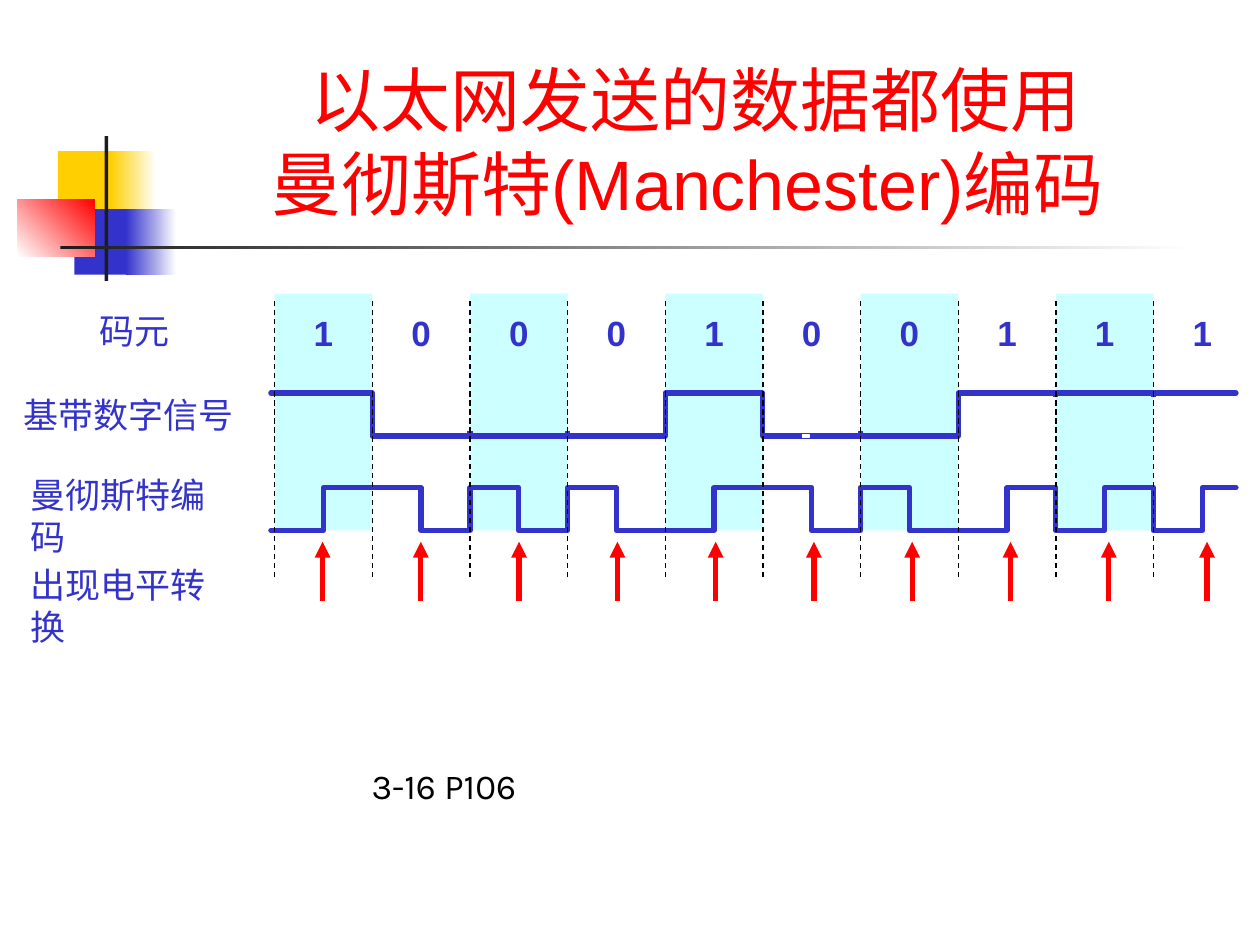
from itertools import pairwise

from lxml.etree import SubElement
from pptx import Presentation
from pptx.dml.color import RGBColor
from pptx.enum.dml import MSO_LINE
from pptx.enum.shapes import MSO_CONNECTOR, MSO_SHAPE
from pptx.enum.text import MSO_ANCHOR, PP_ALIGN
from pptx.oxml.ns import qn
from pptx.util import Inches, Pt

COLORS = {
    "blue": "3333CC", "red": "FF0000", "yellow": "FFCF01", "dark": "1C1C1C",
    "cyan": "CCFFFF", "white": "FFFFFF", "black": "000000",
}
BITS = "1000100111"
PITCH = 0.775
ARROW_PITCH = 0.78
OVERHANG = 0.03


def rgb(name):
    return RGBColor.from_string(COLORS[name])


def add_rect(slide, box, *fades, angle=0):
    rect = slide.shapes.add_shape(MSO_SHAPE.RECTANGLE, *map(Inches, box))
    rect.shadow.inherit = False
    rect.line.fill.background()
    if len(fades) == 1:
        rect.fill.solid()
        rect.fill.fore_color.rgb = rgb(fades[0])
    else:
        rect.fill.gradient()
        rect.fill.gradient_angle = angle
        for stop, position, name in zip(rect.fill.gradient_stops, (0, 1), fades):
            stop.position = position
            stop.color.rgb = rgb(name)
    return rect


def add_text(slide, box, text, color="blue", font="Arial", bold=False,
             align=PP_ALIGN.LEFT):
    frame = slide.shapes.add_textbox(*map(Inches, box)).text_frame
    frame.word_wrap = True
    paragraph = frame.paragraphs[0]
    paragraph.text = text
    paragraph.alignment = align
    style_font(paragraph.font, 20, color, font, bold)


def style_font(font, size, color, name, bold=False):
    font.size = Pt(size)
    font.name = name
    font.bold = bold
    font.color.rgb = rgb(color)


def add_line(shapes, start, end, color, width):
    line = shapes.add_connector(MSO_CONNECTOR.STRAIGHT, *map(Inches, (*start, *end)))
    SubElement(line._element.spPr, qn("a:effectLst"))
    line.line.color.rgb = rgb(color)
    line.line.width = Pt(width)
    return line


def add_wave(shapes, left, top, height, levels, step):
    points = []
    for i, level in enumerate(levels):
        start = left + i * step - (OVERHANG if i == 0 else 0)
        end = left + (i + 1) * step - (0.12 if i == len(levels) - 1 else 0)
        y = top if level else top + height
        points += [(Inches(start), Inches(y)), (Inches(end), Inches(y))]
    builder = shapes.build_freeform(*points[0])
    builder.add_line_segments(points[1:], close=False)
    wave = builder.convert_to_shape()
    wave.shadow.inherit = False
    wave.fill.background()
    wave.line.color.rgb = rgb("blue")
    wave.line.width = Pt(3)
    wave.line._ln.set("cap", "rnd")


def add_ornament(slide, left, top):
    squares = [
        ((0.32, 0.12, 0.48, 0.52), ("yellow",), 0),
        ((0.74, 0.12, 0.36, 0.52), ("yellow", "white"), 0),
        ((0.45, 0.58, 0.46, 0.52), ("blue",), 0),
        ((0.86, 0.58, 0.4, 0.52), ("blue", "white"), 0),
        ((0, 0.5, 0.61, 0.46), ("white", "red"), 45),
        ((0.69, 0, 0.03, 1.15), ("dark",), 0),
        ((0.34, 0.87, 9, 0.03), ("dark", "white"), 0),
    ]
    for (x, y, width, height), fades, angle in squares:
        add_rect(slide, (left + x, top + y, width, height), *fades, angle=angle)


def add_title(slide, box):
    title = slide.shapes.title
    title.left, title.top, title.width, title.height = map(Inches, box)
    title.text_frame.text = "以太网发送的数据都使用\v曼彻斯特(Manchester)编码 "
    title.text_frame.vertical_anchor = MSO_ANCHOR.BOTTOM
    paragraph = title.text_frame.paragraphs[0]
    paragraph.alignment = PP_ALIGN.CENTER
    style_font(paragraph.font, 40, "red", "Arial")


def add_row_labels(slide, left, top):
    labels = [
        (0.6, 0, 0.83, "码元"),
        (0, 0.66, 2, "基带数字信号"),
        (0.05, 1.3, 1.86, "曼彻斯特编码"),
        (0.05, 2.01, 1.86, "出现电平转换"),
    ]
    for x, y, width, text in labels:
        add_text(slide, (left + x, top + y, width, 0.43), text)


def add_bit_columns(slide, left, top):
    for i in range(0, len(BITS), 2):
        add_rect(slide, (left + i * PITCH, top, PITCH, 1.88), "cyan")
    for i, bit in enumerate(BITS):
        center = left + (i + 0.5) * PITCH
        add_text(slide, (center - 0.18, top + 0.09, 0.36, 0.43), bit,
                 bold=True, align=PP_ALIGN.CENTER)


def add_baseband(slide, left, top, height):
    baseband = slide.shapes.add_group_shape().shapes
    add_wave(baseband, left, top, height, [bit == "1" for bit in BITS], PITCH)
    for i, (before, after) in enumerate(pairwise(BITS), 1):
        if before == after:
            x = left + i * PITCH
            y = top + (0.03 if after == "1" else height)
            add_line(baseband, (x, y), (x, y - 0.04), "blue", 3)
    gap = add_rect(slide, (left + 4.19, top + height - 0.01, 0.05, 0.02), "white")
    gap.line.color.rgb = rgb("white")
    gap.line.width = Pt(0.75)


def add_manchester(slide, left, top, height):
    halves = [half for bit in BITS for half in ((0, 1) if bit == "1" else (1, 0))]
    add_wave(slide.shapes, left, top, height, halves, PITCH / 2)


def add_boundaries(slide, left, top, bottom):
    for i in range(len(BITS)):
        x = left + i * PITCH
        boundary = add_line(slide.shapes, (x, bottom), (x, top), "black", 0.75)
        boundary.line.dash_style = MSO_LINE.DASH


def add_transition_arrows(slide, left, top, height):
    arrows = slide.shapes.add_group_shape().shapes
    for i in range(len(BITS)):
        x = left + i * ARROW_PITCH
        arrow = add_line(arrows, (x, top + height), (x, top), "red", 3)
        SubElement(arrow.line._ln, qn("a:tailEnd"), type="triangle")


def main():
    presentation = Presentation()
    presentation.slide_width = Inches(10)
    presentation.slide_height = Inches(7.5)
    slide = presentation.slides.add_slide(presentation.slide_layouts[5])

    add_ornament(slide, 0.14, 1.08)
    add_title(slide, (1.26, 0.23, 8.52, 1.6))
    add_row_labels(slide, 0.09, 2.41)
    add_bit_columns(slide, 2.18, 2.33)
    add_baseband(slide, 2.18, 3.12, 0.34)
    add_manchester(slide, 2.18, 3.87, 0.34)
    add_boundaries(slide, 2.18, 2.38, 4.58)
    add_transition_arrows(slide, 2.56, 4.3, 0.47)
    add_text(slide, (2.85, 6.02, 1.45, 0.43), "3-16 P106", "black", "Karla")

    presentation.save("out.pptx")


if __name__ == "__main__":
    main()
